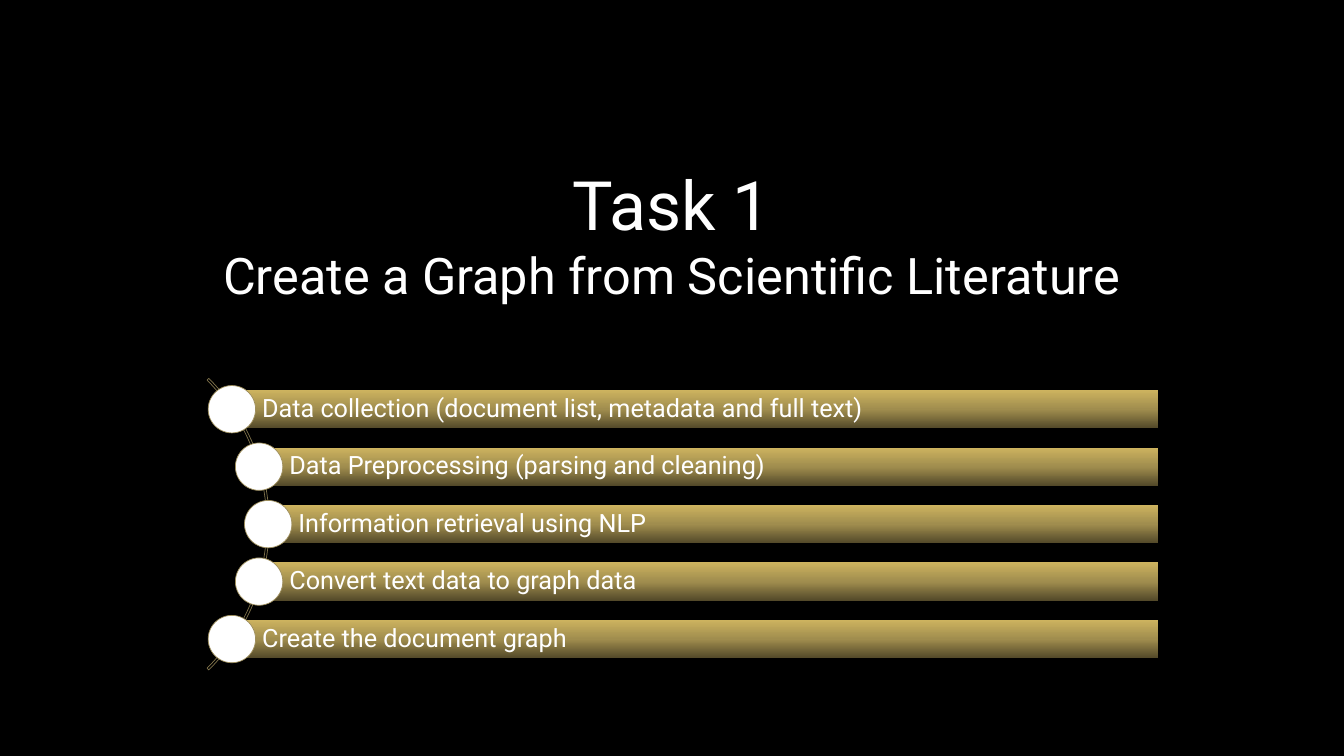
"""Build the Task 1 slide: five gold steps strung along an arc."""
from pptx import Presentation
from pptx.dml.color import RGBColor
from pptx.enum.shapes import MSO_SHAPE as Shape
from pptx.enum.text import MSO_ANCHOR as Anchor, MSO_AUTO_SIZE as AutoSize, PP_ALIGN as Align
from pptx.oxml import parse_xml
from pptx.oxml.ns import nsdecls
from pptx.util import Inches, Pt

TITLE_LINES = [("Task 1", 48.6), ("Create a Graph from Scientific Literature", 36)]
STEPS = [
    ("Data collection (document list, metadata and full text)", 2.3),
    ("Data Preprocessing (parsing and cleaning)", 2.57),
    ("Information retrieval using NLP", 2.66),
    ("Convert text data to graph data", 2.57),
    ("Create the document graph", 2.3),
]
COLORS = {"background": "000000", "text": "FFFFFF", "dot": "FFFFFF",
          "dot_line": "9E8E5C", "arc_line": "7F724A"}
GOLD_STOPS = {0: "534929", 50: "A08D4E", 100: "CDB35F"}
FONT = "Roboto"
TITLE_BOX = {"left": 1, "top": 2.59, "width": 11.33, "height": 1.07}
TITLE_FRAME = {"margin_left": Inches(0.1), "margin_right": Inches(0.1),
               "margin_top": Inches(0.05), "margin_bottom": Inches(0.64),
               "vertical_anchor": Anchor.BOTTOM, "word_wrap": True,
               "auto_size": AutoSize.NONE}
STEP_FRAME = {"margin_left": Inches(0.3), "margin_right": Inches(0.05),
              "margin_top": Inches(0.05), "margin_bottom": Inches(0.05),
              "vertical_anchor": Anchor.MIDDLE, "word_wrap": True}
ARC_LEFT, ARC_SIZE = -1.42, 4.09
ARC_ADJUSTMENTS = (189, 27, 0.006)
MIDDLE_Y, PITCH = 5.2, 0.57
BAR_RIGHT, BAR_HEIGHT, DOT_SIZE = 11.49, 0.38, 0.47


def color(name):
    return RGBColor.from_string(COLORS[name])


def apply(target, values):
    for name, value in values.items():
        setattr(target, name, value)


def write(paragraph, text, size):
    run = paragraph.add_run()
    run.text = text
    apply(run.font, {"name": FONT, "size": Pt(size), "bold": False})
    run.font.color.rgb = color("text")


def add_shape(slide, kind, left, top, width, height, line=None):
    shape = slide.shapes.add_shape(kind, *map(Inches, (left, top, width, height)))
    shape.shadow.inherit = False
    if line:
        shape.line.color.rgb = color(line)
        shape.line.width = Pt(0.5)
    else:
        shape.line.fill.background()
    return shape


def fill_gold(shape):
    stops = "".join(f'<a:gs pos="{position * 1000}"><a:srgbClr val="{hex_value}"/></a:gs>'
                    for position, hex_value in GOLD_STOPS.items())
    shape.fill.gradient()
    shape.fill.gradient_angle = 90
    old_stops = next(shape.element.spPr.iter("{*}gsLst"))
    old_stops.getparent().replace(
        old_stops, parse_xml(f'<a:gsLst {nsdecls("a")}>{stops}</a:gsLst>'))


def add_title(slide):
    title = slide.shapes.title
    apply(title, {side: Inches(length) for side, length in TITLE_BOX.items()})
    apply(title.text_frame, TITLE_FRAME)
    paragraph = title.text_frame.paragraphs[0]
    apply(paragraph, {"alignment": Align.CENTER, "line_spacing": 1.0})
    for index, (text, size) in enumerate(TITLE_LINES):
        if index:
            paragraph.add_line_break()
        write(paragraph, text, size)


def add_arc(slide):
    arc = add_shape(slide, Shape.BLOCK_ARC, ARC_LEFT, MIDDLE_Y - ARC_SIZE / 2,
                    ARC_SIZE, ARC_SIZE, "arc_line")
    arc.fill.background()
    for index, value in enumerate(ARC_ADJUSTMENTS):
        arc.adjustments[index] = value


def add_step(slide, text, left, center_y):
    bar = add_shape(slide, Shape.RECTANGLE, left, center_y - BAR_HEIGHT / 2,
                    BAR_RIGHT - left, BAR_HEIGHT)
    fill_gold(bar)
    apply(bar.text_frame, STEP_FRAME)
    paragraph = bar.text_frame.paragraphs[0]
    apply(paragraph, {"alignment": Align.LEFT, "line_spacing": 0.9})
    write(paragraph, text, 18)
    dot = add_shape(slide, Shape.OVAL, left - DOT_SIZE / 2, center_y - DOT_SIZE / 2,
                    DOT_SIZE, DOT_SIZE, "dot_line")
    dot.fill.solid()
    dot.fill.fore_color.rgb = color("dot")


def main():
    deck = Presentation()
    apply(deck, {"slide_width": Inches(13.33), "slide_height": Inches(7.5)})
    slide = deck.slides.add_slide(deck.slide_layouts[5])
    slide.background.fill.solid()
    slide.background.fill.fore_color.rgb = color("background")
    add_title(slide)
    add_arc(slide)
    first_y = MIDDLE_Y - PITCH * (len(STEPS) - 1) / 2
    for index, (text, left) in enumerate(STEPS):
        add_step(slide, text, left, first_y + index * PITCH)
    deck.save("out.pptx")


if __name__ == "__main__":
    main()
